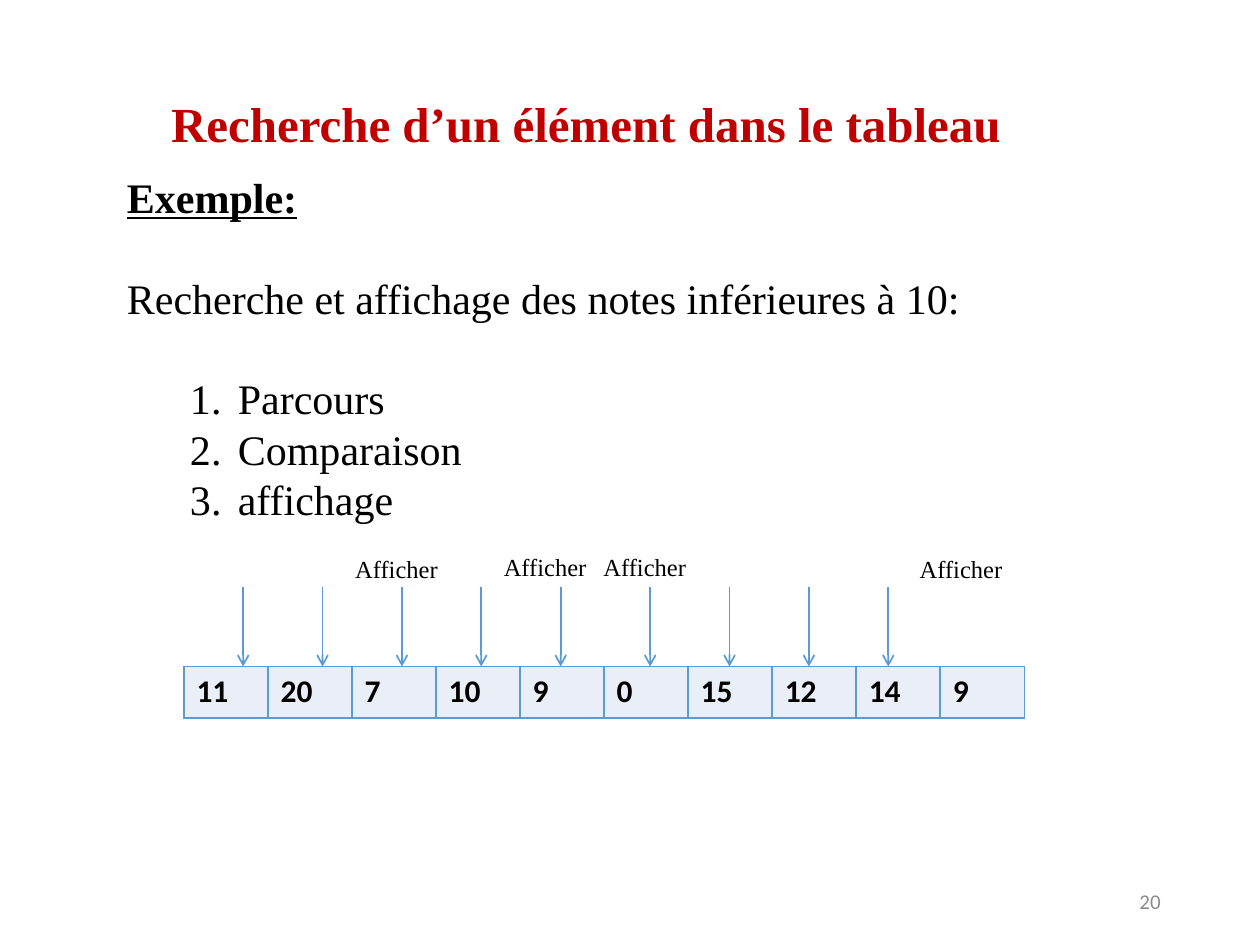
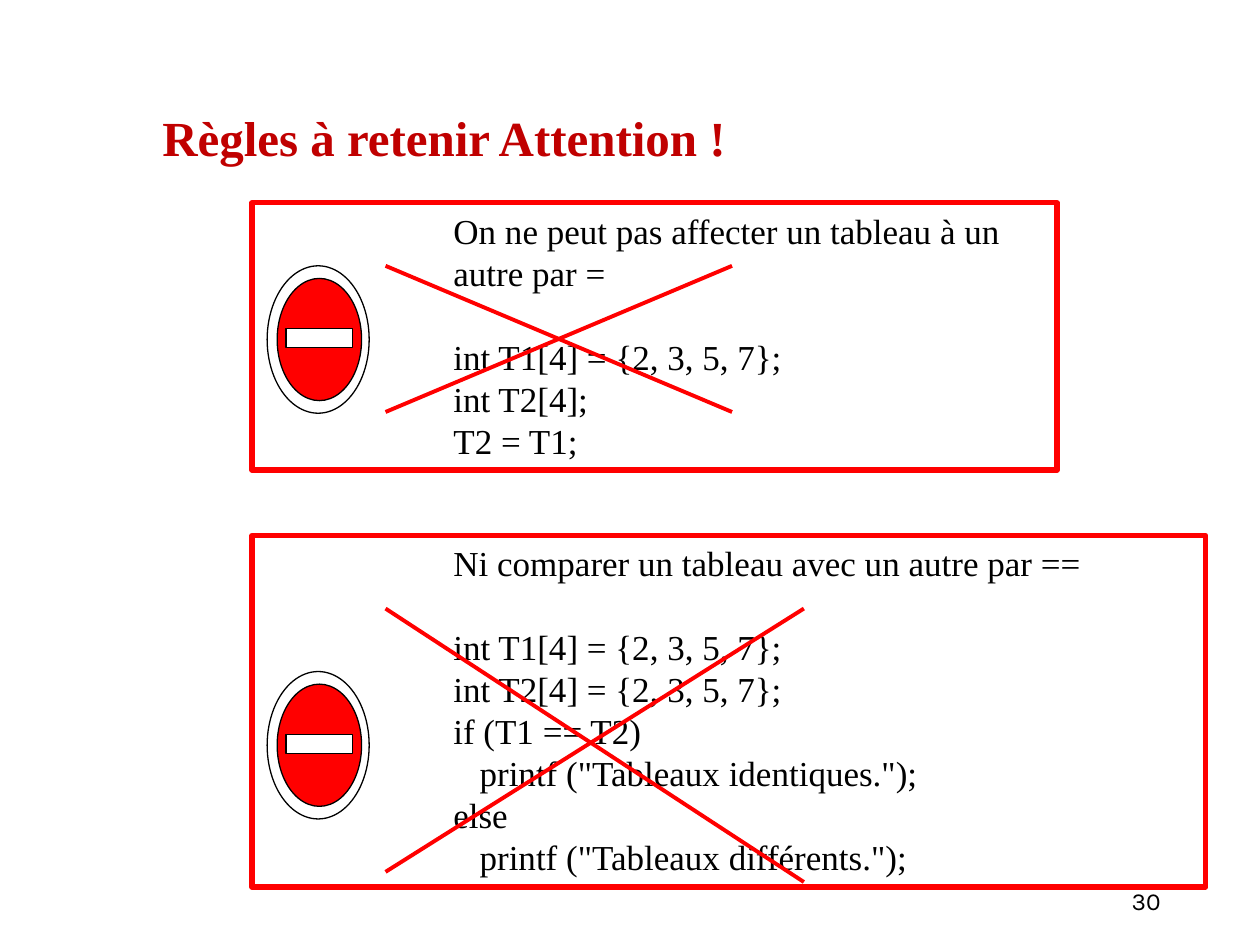
import pptx
import pptx.chart.data
import pptx.dml.color
import pptx.enum.shapes
import pptx.enum.text
import pptx.oxml
import pptx.oxml.ns
import pptx.util
from lxml import etree

Inches = pptx.util.Inches
Pt = pptx.util.Pt
SHAPE = pptx.enum.shapes.MSO_SHAPE
ANCHOR = pptx.enum.text.MSO_ANCHOR
ALIGN = pptx.enum.text.PP_ALIGN

SERIF, SANS, ROUND = "Times New Roman", "Calibri", "Karla"
BLACK, WHITE, GREY = "000000", "FFFFFF", "8C8C8C"
DARK, RED, BLUE, PALE = "C00000", "FF0000", "5B9BD5", "EAEFF7"

# Content: a paragraph marked GAP has one empty line above it.
GAP = "gap"
SEARCH = {
    "title": "Recherche d’un élément dans le tableau",
    "head": "Exemple:",
    "goal": "Recherche et affichage des notes inférieures à 10:",
    "steps": ["Parcours", "Comparaison", "affichage"],
    "marks": [11, 20, 7, 10, 9, 0, 15, 12, 14, 9],
    "label": "Afficher",
    "spots": [(2.72, 4.35), (3.9, 4.33), (4.69, 4.33), (7.2, 4.35)],
    "page": "20",
}
RULES = {
    "title": "Règles à retenir Attention !",
    "page": "30",
    "bans": [
        {
            "box": (2, 1.61, 6.39, 2.12),
            "sign": 2.11,
            "cross": [(3.06, 2.11, 5.81, 3.27), (5.81, 2.11, 3.06, 3.27)],
            "rule": "On ne peut pas affecter un tableau à un autre par =",
            "code": ["int T1[4] = {2, 3, 5, 7};", "int T2[4];", "T2 = T1;"],
        },
        {
            "box": (2, 4.25, 7.57, 2.79),
            "sign": 5.33,
            "cross": [(3.06, 4.83, 6.38, 7), (6.38, 4.83, 3.06, 6.92)],
            "rule": "Ni comparer un tableau avec un autre par ==",
            "code": [
                "int T1[4] = {2, 3, 5, 7};",
                "int T2[4] = {2, 3, 5, 7};",
                "if (T1 == T2)",
                '   printf ("Tableaux identiques.");',
                "else",
                '   printf ("Tableaux différents.");',
            ],
        },
    ],
}


def color(code):
    return pptx.dml.color.RGBColor.from_string(code)


def style(para, size, face=SERIF, ink=BLACK, bold=False, line=False):
    for run in para.runs:
        font = run.font
        font.size, font.name, font.bold = Pt(size), face, bold
        font.underline = line
        font.color.rgb = color(ink)


def indent(para, left, hang=0):
    props = para._p.get_or_add_pPr()
    props.set("marL", str(Inches(left)))
    props.set("indent", str(-Inches(hang)))
    return props


def fill(frame, lines, size):
    """Write (text, mark) lines; return their paragraphs."""
    frame.text = "\n".join(text for text, mark in lines)
    for para, (text, mark) in zip(frame.paragraphs, lines):
        if mark == GAP:
            para.space_before = Pt(size * 1.2)
        style(para, size)
    return frame.paragraphs


def label(slide, box, text, size, **look):
    """Add a one-paragraph text box; return its frame."""
    frame = slide.shapes.add_textbox(*map(Inches, box)).text_frame
    frame.word_wrap = True
    frame.text = text
    style(frame.paragraphs[0], size, **look)
    return frame


def title(slide, box, text):
    return label(slide, box, text, 28, ink=DARK, bold=True)


def page(slide, text, size, face, ink):
    frame = label(slide, (7.06, 6.95, 2.25, 0.4), text, size, face=face, ink=ink)
    frame.vertical_anchor = ANCHOR.MIDDLE
    frame.paragraphs[0].alignment = ALIGN.RIGHT


def shape(shapes, kind, box, back, edge, width):
    item = shapes.add_shape(kind, *map(Inches, box))
    item.shadow.inherit = False
    if back:
        item.fill.solid()
        item.fill.fore_color.rgb = color(back)
    else:
        item.fill.background()
    item.line.color.rgb = color(edge)
    item.line.width = Pt(width)
    return item


def stroke(shapes, ends, ink, width, arrow=False):
    kind = pptx.enum.shapes.MSO_CONNECTOR.STRAIGHT
    item = shapes.add_connector(kind, *map(Inches, ends))
    item.line.color.rgb = color(ink)
    item.line.width = Pt(width)
    if arrow:
        tail = etree.SubElement(item.line._get_or_add_ln(), pptx.oxml.ns.qn("a:tailEnd"))
        tail.set("type", "arrow")
    etree.SubElement(item._element.spPr, pptx.oxml.ns.qn("a:effectLst"))


def border(cell, ink):
    props = cell._tc.get_or_add_tcPr()
    for spot, side in enumerate(("lnL", "lnR", "lnT", "lnB")):
        props.insert(spot, pptx.oxml.parse_xml(
            f'<a:{side} {pptx.oxml.ns.nsdecls("a")} w="12700"><a:solidFill>'
            f'<a:srgbClr val="{ink}"/></a:solidFill></a:{side}>'))


def array(slide, marks):
    """Draw the marks as a one-row table."""
    wide = 6.67
    box = map(Inches, (1.46, 5.29, wide, 0.41))
    table = slide.shapes.add_table(1, len(marks), *box).table
    table.first_row = table.horz_banding = False
    for col, mark in enumerate(marks):
        table.columns[col].width = Inches(wide / len(marks))
        cell = table.cell(0, col)
        cell.text = str(mark)
        style(cell.text_frame.paragraphs[0], 18, SANS, bold=True)
        cell.fill.solid()
        cell.fill.fore_color.rgb = color(PALE)
        border(cell, BLUE)


def search(slide):
    data = SEARCH
    page(slide, data["page"], 12, SANS, GREY)
    title(slide, (1.26, 0.69, 7.14, 0.57), data["title"])
    frame = label(slide, (0.91, 1.31, 8.5, 2.93), "", 24)
    first, *steps = data["steps"]
    lines = [(data["head"], ""), (data["goal"], GAP), (first, GAP)]
    paras = fill(frame, lines + [(step, "") for step in steps], 24)
    style(paras[0], 24, bold=True, line=True)
    for para in paras[2:]:
        props = indent(para, 0.88, 0.38)
        num = etree.SubElement(props, pptx.oxml.ns.qn("a:buAutoNum"))
        num.set("type", "arabicPeriod")
    array(slide, data["marks"])
    for spot in range(len(data["marks"]) - 1):
        left = 1.93 + 0.63 * spot + (0.08 if spot > 4 else 0)
        stroke(slide.shapes, (left, 4.66, left, 5.29), BLUE, 1, arrow=True)
    for left, top in data["spots"]:
        label(slide, (left, top, 1.02, 0.34), data["label"], 14)


def ban(slide, data):
    """Draw a framed rule with its no-entry sign and crossed-out code."""
    box = shape(slide.shapes, SHAPE.RECTANGLE, data["box"], None, RED, 3)
    frame = box.text_frame
    frame.word_wrap = True
    frame.vertical_anchor = ANCHOR.TOP
    first, *rest = data["code"]
    lines = [(data["rule"], ""), (first, GAP)] + [(text, "") for text in rest]
    for para in fill(frame, lines, 20):
        para.alignment = ALIGN.LEFT
        indent(para, 1.5)
    parts = slide.shapes.add_group_shape().shapes
    top = data["sign"]
    for kind, left, down, wide, high, back in (
        (SHAPE.OVAL, 2.12, 0, 0.81, 1.17, WHITE),
        (SHAPE.OVAL, 2.2, 0.1, 0.67, 0.97, RED),
        (SHAPE.RECTANGLE, 2.27, 0.5, 0.53, 0.15, WHITE),
    ):
        shape(parts, kind, (left, top + down, wide, high), back, BLACK, 0.75)
    for ends in data["cross"]:
        stroke(parts, ends, RED, 2.25)


def rules(slide):
    page(slide, RULES["page"], 14, ROUND, BLACK)
    frame = title(slide, (1.19, 0.78, 7.34, 0.67), RULES["title"])
    frame.vertical_anchor = ANCHOR.MIDDLE
    frame.paragraphs[0].line_spacing = 0.9
    for data in RULES["bans"]:
        ban(slide, data)


def main():
    deck = pptx.Presentation()
    deck.slide_width, deck.slide_height = Inches(10), Inches(7.5)
    for draw in (search, rules):
        draw(deck.slides.add_slide(deck.slide_layouts[6]))
    deck.save("out.pptx")


if __name__ == "__main__":
    main()
